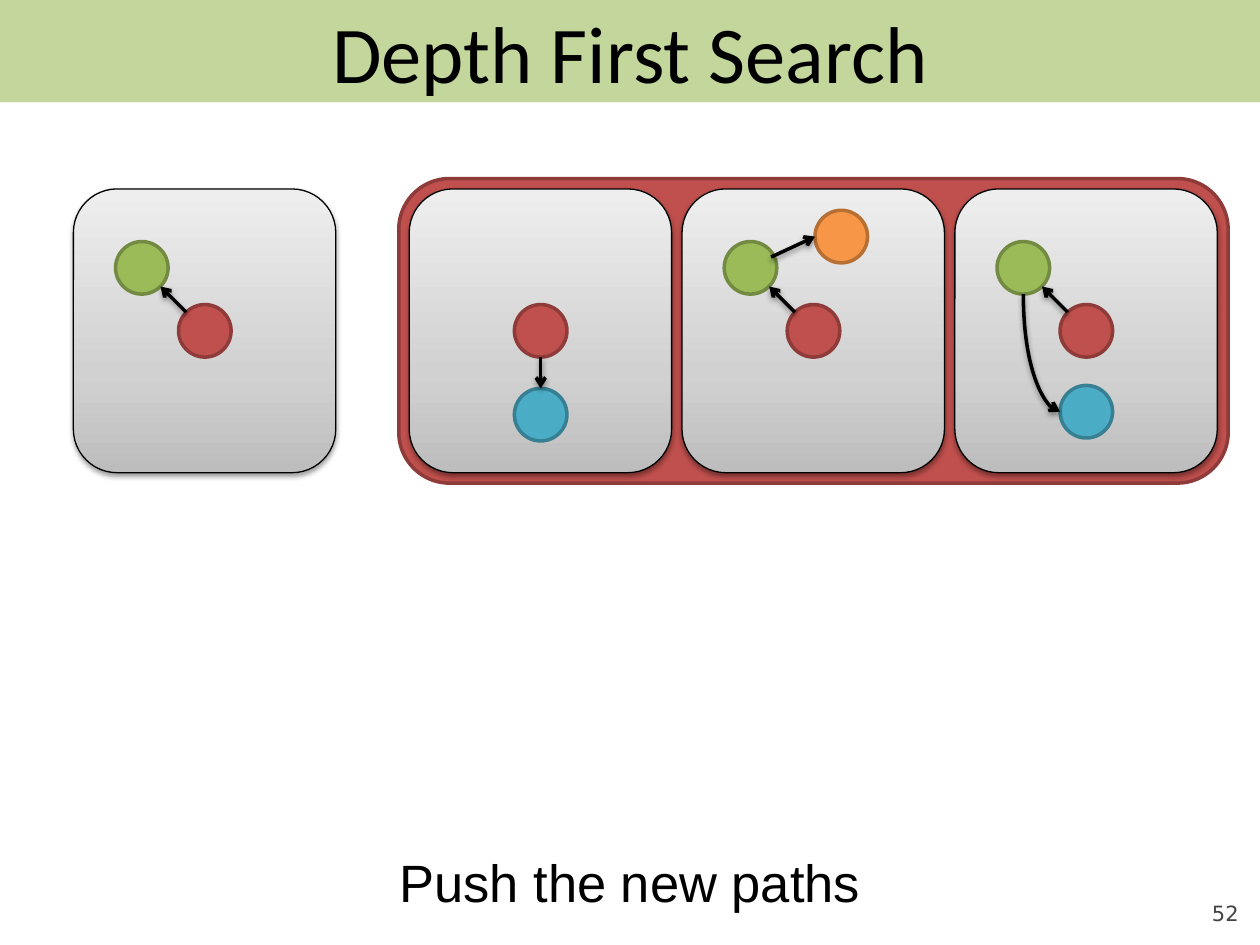
import copy
from dataclasses import dataclass

import pptx
import pptx.dml.color
import pptx.enum.shapes
import pptx.enum.text
import pptx.oxml
import pptx.oxml.ns
import pptx.util

Cm = pptx.util.Cm
Pt = pptx.util.Pt
RGBColor = pptx.dml.color.RGBColor
qn = pptx.oxml.ns.qn
SHAPE = pptx.enum.shapes.MSO_SHAPE
CONNECTOR = pptx.enum.shapes.MSO_CONNECTOR
ALIGN = pptx.enum.text.PP_ALIGN
ANCHOR = pptx.enum.text.MSO_ANCHOR
AUTO_SIZE = pptx.enum.text.MSO_AUTO_SIZE


@dataclass(frozen=True)
class Theme:
    black: str = "000000"
    banner: str = "C3D69B"
    stack: tuple = ("C0504D", "8E3B39")
    panel_stops: tuple = ((0, "BDBDBD"), (0.35, "D1D1D1"), (1, "EEEEEE"))
    thin: float = 0.75
    thick: float = 2
    title: tuple = ("Calibri", 46, "000000")
    caption: tuple = ("Arial", 30, "000000")
    page_number: tuple = ("DejaVu Sans", 12, "424242")


THEME = Theme()

# Node: left and top within its panel (cm), fill and outline.
RED = (2.12, 2.33, "C0504D", "8E3B39")
GREEN = (0.85, 1.06, "9BBB59", "738A42")
ORANGE = (2.68, 0.43, "F79646", "B76F34")
BLUE = (2.12, 4.02, "4BACC6", "377F92")
BLUE_RAISED = (2.12, 3.96, "4BACC6", "377F92")
NODE_SIZE = 1.06

# Points on a node's rim, in radii from its centre.
LEFT, TOP, BOTTOM = (-1, 0), (0, -1), (0, 1)
UPPER_LEFT, LOWER_RIGHT = (-0.71, -0.71), (0.71, 0.71)
RIGHT_OF_TOP = (0.78, -0.41)

# Edge: start node, its rim point, end node, its rim point, curved or not.
RED_TO_GREEN = (RED, UPPER_LEFT, GREEN, LOWER_RIGHT, False)
RED_TO_BLUE = (RED, BOTTOM, BLUE, TOP, False)
GREEN_TO_ORANGE = (GREEN, RIGHT_OF_TOP, ORANGE, LEFT, False)
GREEN_TO_BLUE = (GREEN, BOTTOM, BLUE_RAISED, LEFT, True)

CURRENT_PATH = ((RED, GREEN), (RED_TO_GREEN,))
NEW_PATHS = (
    ((RED, BLUE), (RED_TO_BLUE,)),
    ((RED, GREEN, ORANGE), (RED_TO_GREEN, GREEN_TO_ORANGE)),
    ((RED, GREEN, BLUE_RAISED), (RED_TO_GREEN, GREEN_TO_BLUE)),
)
PANEL_SIZE = (5.29, 5.72)
PANEL_PITCH = 5.5


def set_values(target, **values):
    for name, value in values.items():
        setattr(target, name, value)


def set_line(line, color, width):
    line.width = Pt(width)
    line.fill.solid()
    line.fill.fore_color.rgb = RGBColor.from_string(color)


def add_shape(slide, kind, box, fill=None, line=None, width=0):
    shape = slide.shapes.add_shape(kind, *map(Cm, box))
    shape.shadow.inherit = False
    if fill:
        shape.fill.solid()
        shape.fill.fore_color.rgb = RGBColor.from_string(fill)
    if line:
        set_line(shape.line, line, width)
    else:
        shape.line.fill.background()
    return shape


def add_shadow(shape):
    """Give a soft shadow falling straight down; call after fill and line."""
    properties = shape.element.spPr
    for effects in properties.findall(qn("a:effectLst")):
        properties.remove(effects)
    properties.append(pptx.oxml.parse_xml(
        f'<a:effectLst {pptx.oxml.ns.nsdecls("a")}>'
        '<a:outerShdw blurRad="40000" dist="20000" dir="5400000" rotWithShape="0">'
        f'<a:srgbClr val="{THEME.black}"><a:alpha val="38000"/></a:srgbClr>'
        '</a:outerShdw></a:effectLst>'))


def write(shape, text, style, align, **frame_values):
    set_values(shape.text_frame, word_wrap=True, **frame_values)
    paragraph = shape.text_frame.paragraphs[0]
    paragraph.alignment = align
    run = paragraph.add_run()
    run.text = text
    name, size, color = style
    set_values(run.font, name=name, size=Pt(size))
    run.font.color.rgb = RGBColor.from_string(color)


def fill_gradient(shape, stops):
    """Blend the stops from the bottom edge to the top edge."""
    shape.fill.gradient()
    shape.fill.gradient_angle = 90
    stop_list = shape.element.spPr.find(qn("a:gradFill")).find(qn("a:gsLst"))
    while len(stop_list) < len(stops):
        stop_list.append(copy.deepcopy(stop_list[0]))
    for stop, (position, color) in zip(shape.fill.gradient_stops, stops):
        stop.position = position
        stop.color.rgb = RGBColor.from_string(color)


def draw_edge(slide, start, end, curved):
    (x1, y1), (x2, y2) = start, end
    if curved:
        # Leaves downwards and arrives sideways: a quarter curve, turned and flipped.
        width, height = y2 - y1, x2 - x1
        left, top = (x1 + x2 - width) / 2, (y1 + y2 - height) / 2
        connector = slide.shapes.add_connector(
            CONNECTOR.CURVE, Cm(left), Cm(top), Cm(left + width), Cm(top + height))
        properties = connector.element.spPr
        properties.find(qn("a:prstGeom")).set("prst", "curvedConnector2")
        transform = properties.find(qn("a:xfrm"))
        transform.set("rot", "16200000")
        transform.set("flipH", "1")
    else:
        connector = slide.shapes.add_connector(
            CONNECTOR.STRAIGHT, Cm(x1), Cm(y1), Cm(x2), Cm(y2))
    set_line(connector.line, THEME.black, THEME.thick)
    line = connector.element.spPr.find(qn("a:ln"))
    line.append(pptx.oxml.parse_xml(
        f'<a:tailEnd {pptx.oxml.ns.nsdecls("a")} type="arrow"/>'))
    add_shadow(connector)


def draw_path_panel(slide, box, path):
    left, top = box[:2]
    nodes, edges = path
    panel = add_shape(slide, SHAPE.ROUNDED_RECTANGLE, box,
                      line=THEME.black, width=THEME.thin)
    fill_gradient(panel, THEME.panel_stops)
    add_shadow(panel)
    for x, y, fill, outline in nodes:
        add_shape(slide, SHAPE.OVAL, (left + x, top + y, NODE_SIZE, NODE_SIZE),
                  fill, outline, THEME.thick)

    def rim_point(node, direction):
        radius = NODE_SIZE / 2
        return (left + node[0] + radius * (1 + direction[0]),
                top + node[1] + radius * (1 + direction[1]))

    for start, start_rim, end, end_rim, curved in edges:
        draw_edge(slide, rim_point(start, start_rim), rim_point(end, end_rim), curved)


def draw_stack(slide, box, paths):
    left, top, width, height = box
    add_shape(slide, SHAPE.ROUNDED_RECTANGLE, box, *THEME.stack, THEME.thick)
    margin = (height - PANEL_SIZE[1]) / 2
    for index, path in enumerate(paths):
        panel_left = left + margin + index * PANEL_PITCH
        draw_path_panel(slide, (panel_left, top + margin, *PANEL_SIZE), path)


def draw_banner(slide, box, text):
    backdrop = add_shape(slide, SHAPE.ROUNDED_RECTANGLE, box, THEME.banner)
    backdrop.adjustments[0] = 0
    title = add_shape(slide, SHAPE.RECTANGLE, box, THEME.banner)
    color = title.element.spPr.find(qn("a:solidFill"))[0]
    color.append(pptx.oxml.parse_xml(
        f'<a:alpha {pptx.oxml.ns.nsdecls("a")} val="80000"/>'))
    write(title, text, THEME.title, ALIGN.CENTER, vertical_anchor=ANCHOR.MIDDLE)


def draw_text(slide, box, text, style, align, **frame_values):
    write(slide.shapes.add_textbox(*map(Cm, box)), text, style, align, **frame_values)


def main():
    presentation = pptx.Presentation()
    set_values(presentation, slide_width=Cm(25.4), slide_height=Cm(19.05))
    slide = presentation.slides.add_slide(presentation.slide_layouts[6])
    draw_banner(slide, (0, 0, 25.4, 2.06), "Depth First Search")
    draw_path_panel(slide, (1.48, 3.81, *PANEL_SIZE), CURRENT_PATH)
    draw_stack(slide, (8.04, 3.6, 16.72, 6.14), NEW_PATHS)
    draw_text(slide, (0, 17.02, 25.4, 1.55), "Push the new paths", THEME.caption,
              ALIGN.CENTER, auto_size=AUTO_SIZE.SHAPE_TO_FIT_TEXT)
    draw_text(slide, (22.86, 17.65, 2.11, 1.02), "52", THEME.page_number, ALIGN.RIGHT,
              vertical_anchor=ANCHOR.BOTTOM, margin_left=0, margin_top=0,
              margin_right=0, margin_bottom=0)
    presentation.save("out.pptx")


if __name__ == "__main__":
    main()
